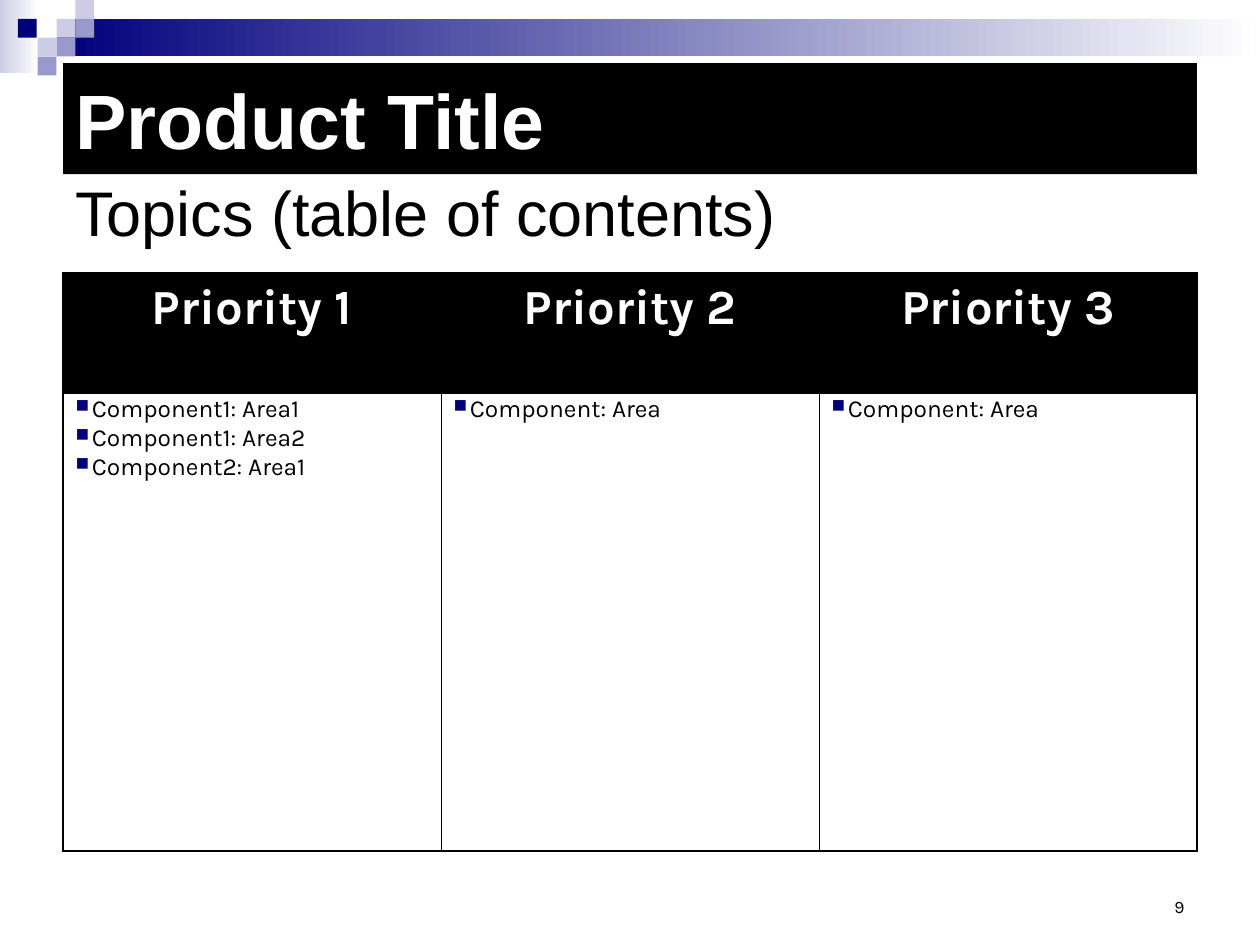
from typing import NamedTuple

from lxml.etree import SubElement
from pptx import Presentation
from pptx.dml.color import RGBColor
from pptx.enum.shapes import MSO_SHAPE
from pptx.enum.text import MSO_ANCHOR, MSO_AUTO_SIZE, PP_ALIGN
from pptx.oxml.ns import qn
from pptx.util import Cm, Pt

RECT = MSO_SHAPE.RECTANGLE
TOP, MIDDLE, BOTTOM = MSO_ANCHOR.TOP, MSO_ANCHOR.MIDDLE, MSO_ANCHOR.BOTTOM
LEFT, CENTER, RIGHT = PP_ALIGN.LEFT, PP_ALIGN.CENTER, PP_ALIGN.RIGHT
NO_FIT = MSO_AUTO_SIZE.NONE

BLACK = RGBColor(0x00, 0x00, 0x00)
WHITE = RGBColor(0xFF, 0xFF, 0xFF)
NAVY = RGBColor(0x00, 0x00, 0x7D)
LILAC = RGBColor(0xCC, 0xCC, 0xE6)
MAUVE = RGBColor(0x99, 0x99, 0xCC)

THICK, THIN = 1.08, 0.45
SIDE = 1.27
WIDTH = 22.86
TILE = 0.38


class Box(NamedTuple):
    left: float
    top: float
    width: float
    height: float


class Style(NamedTuple):
    size: int
    color: RGBColor = BLACK
    font: str = "Arial"
    bold: bool = False


class Tile(NamedTuple):
    left: float
    top: float
    color: RGBColor


class Topic(NamedTuple):
    head: str
    items: list[str]


FADES = [
    (Box(0, 0, 0.79, 1.47), LILAC),
    (Box(1.14, 0.38, 24.26, 0.76), NAVY),
]
TILES = [
    Tile(1.14, 0.38, LILAC),
    Tile(1.52, 0, LILAC),
    Tile(1.52, 0.38, MAUVE),
    Tile(0.76, 0.76, LILAC),
    Tile(0.36, 0.38, NAVY),
    Tile(1.14, 0.76, MAUVE),
    Tile(0.76, 1.14, MAUVE),
]
TOPICS = [
    Topic("Priority 1", ["Component1: Area1", "Component1: Area2", "Component2: Area1"]),
    Topic("Priority 2", ["Component: Area"]),
    Topic("Priority 3", ["Component: Area"]),
]
ROWS = [2.42, 9.24]

TITLE = Style(44, WHITE, bold=True)
LEAD = Style(36)
HEAD = Style(28, WHITE, "Karla", True)
ITEM = Style(14, font="Karla")
PAGE = Style(10, font="Karla")


def place(box: Box) -> list[int]:
    """Turn a box in centimetres into slide lengths."""
    return [Cm(side) for side in box]


def add_rect(slide, box: Box):
    shape = slide.shapes.add_shape(RECT, *place(box))
    shape.shadow.inherit = False
    shape.line.fill.background()
    return shape


def add_fade(slide, box: Box, color: RGBColor) -> None:
    """Add a bar that fades to white on its right."""
    fill = add_rect(slide, box).fill
    fill.gradient()
    fill.gradient_angle = 0
    for stop, tone in zip(fill.gradient_stops, (color, WHITE)):
        stop.color.rgb = tone


def add_tile(slide, tile: Tile) -> None:
    fill = add_rect(slide, Box(tile.left, tile.top, TILE, TILE)).fill
    fill.solid()
    fill.fore_color.rgb = tile.color


def write(para, text: str, style: Style, align=LEFT) -> None:
    para.alignment = align
    run = para.add_run()
    run.text = text
    font = run.font
    font.name, font.size, font.bold = style.font, Pt(style.size), style.bold
    font.color.rgb = style.color


def set_frame(frame, anchor) -> None:
    frame.word_wrap = True
    frame.auto_size = NO_FIT
    frame.vertical_anchor = anchor


def add_title(slide, text: str, box: Box) -> None:
    title = slide.shapes.title
    title.left, title.top, title.width, title.height = place(box)
    title.fill.solid()
    title.fill.fore_color.rgb = BLACK
    set_frame(title.text_frame, MIDDLE)
    write(title.text_frame.paragraphs[0], text, TITLE)


def add_text(slide, text: str, box: Box, style: Style, anchor=TOP, align=LEFT) -> None:
    frame = slide.shapes.add_textbox(*place(box)).text_frame
    set_frame(frame, anchor)
    write(frame.paragraphs[0], text, style, align)


def add_bullet(para) -> None:
    props = para._p.get_or_add_pPr()
    props.set("marL", str(Cm(0.33)))
    props.set("indent", str(Cm(-0.33)))
    tint = SubElement(props, qn("a:buClr"))
    SubElement(tint, qn("a:srgbClr"), val=str(NAVY))
    SubElement(props, qn("a:buSzPct"), val="75000")
    SubElement(props, qn("a:buChar"), char="■")


def set_edges(cell, row: int, col: int) -> None:
    """Draw thick lines round the table and thin lines inside it."""
    props = cell._tc.get_or_add_tcPr()
    outer = {
        "L": col == 0,
        "R": col == len(TOPICS) - 1,
        "T": row == 0,
        "B": row == len(ROWS) - 1,
    }
    for side, thick in outer.items():
        width = Pt(THICK if thick else THIN)
        line = SubElement(props, qn(f"a:ln{side}"), w=str(width))
        fill = SubElement(line, qn("a:solidFill"))
        SubElement(fill, qn("a:srgbClr"), val=str(BLACK))


def add_table(slide, box: Box) -> None:
    table = slide.shapes.add_table(len(ROWS), len(TOPICS), *place(box)).table
    table.first_row = table.horz_banding = False
    for row, height in zip(table.rows, ROWS):
        row.height = Cm(height)
    for col, topic in enumerate(TOPICS):
        table.columns[col].width = Cm(box.width / len(TOPICS))
        head, body = table.cell(0, col), table.cell(1, col)
        for row, cell in enumerate((head, body)):
            set_edges(cell, row, col)
        head.fill.solid()
        head.fill.fore_color.rgb = BLACK
        body.fill.background()
        write(head.text_frame.paragraphs[0], topic.head, HEAD, CENTER)
        frame = body.text_frame
        for index, item in enumerate(topic.items):
            para = frame.add_paragraph() if index else frame.paragraphs[0]
            para.line_spacing = 0.8
            para.space_before = Pt(3.5 if index else 0)
            add_bullet(para)
            write(para, item, ITEM)


def main() -> None:
    deck = Presentation()
    deck.slide_width, deck.slide_height = Cm(25.4), Cm(19.05)
    slide = deck.slides.add_slide(deck.slide_layouts[5])
    for box, color in FADES:
        add_fade(slide, box, color)
    for tile in TILES:
        add_tile(slide, tile)
    add_title(slide, "Product Title", Box(SIDE, 1.27, WIDTH, 2.24))
    add_text(slide, "Topics (table of contents)", Box(SIDE, 3.38, WIDTH, 1.78), LEAD)
    add_table(slide, Box(SIDE, 5.5, WIDTH, sum(ROWS)))
    add_text(slide, "9", Box(21.79, 17.35, 2.34, 1.27), PAGE, BOTTOM, RIGHT)
    deck.save("out.pptx")


if __name__ == "__main__":
    main()
